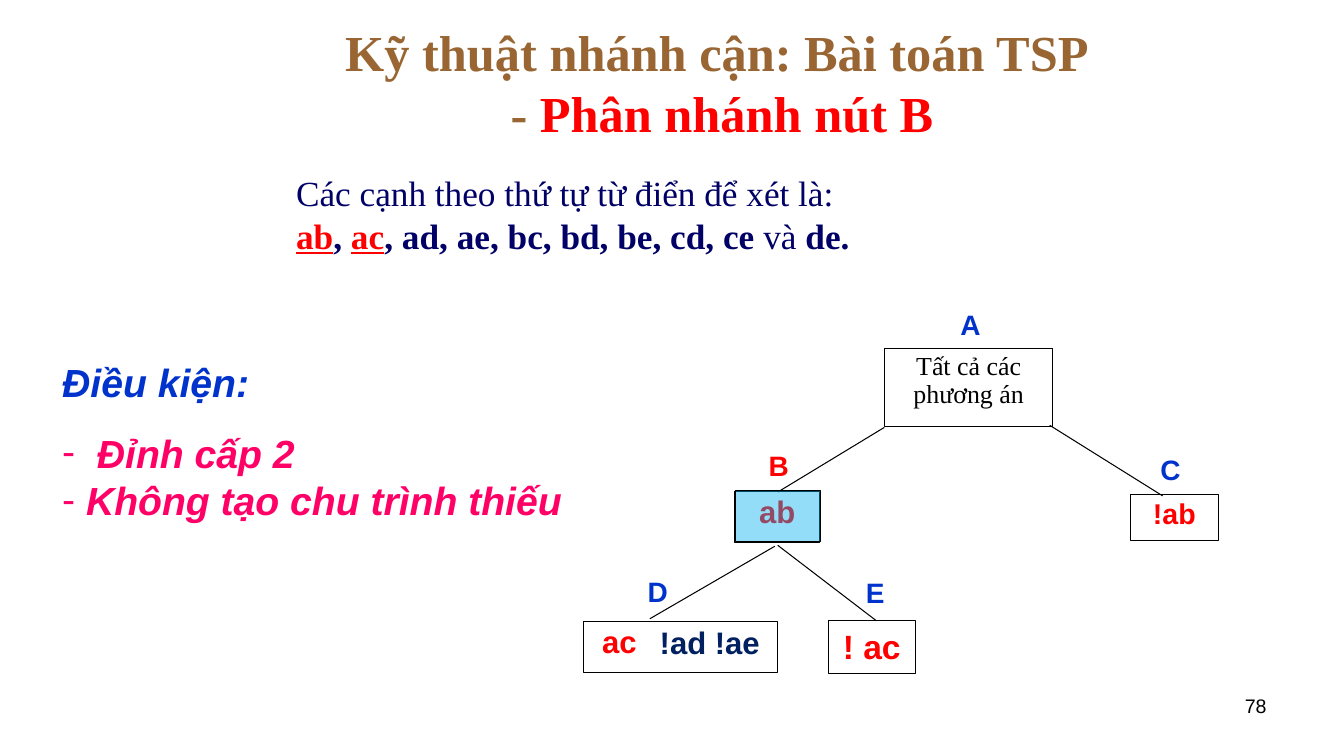
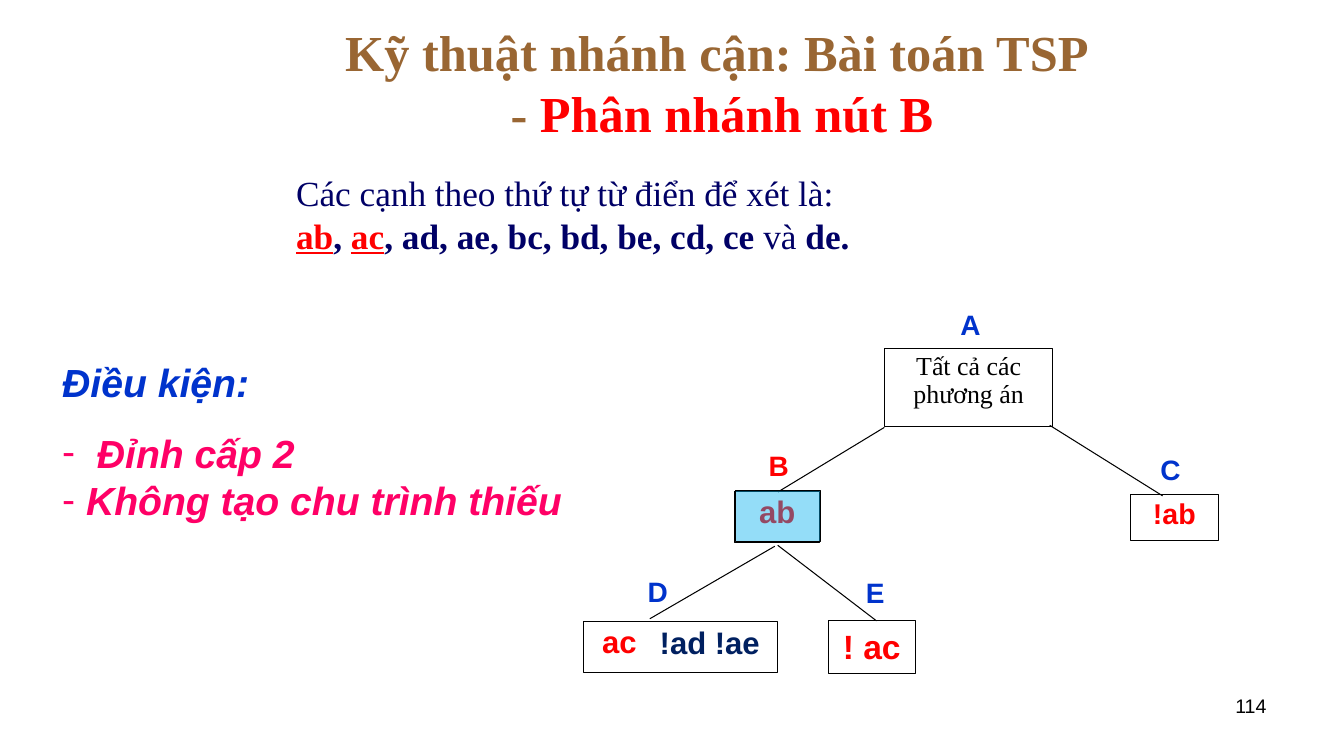
from lxml import etree
from pptx import Presentation
from pptx import util as u
from pptx.dml import color
from pptx.enum import shapes, text
from pptx.oxml import ns

SERIF, SANS = "Times New Roman", "Arial"
BROWN, RED, NAVY, BLUE = "996633", "FF0000", "000066", "0033CC"
DEEP_BLUE, PINK, BLACK, SKY = "002060", "FF0066", "000000", "00B0F0"
LEFT, CENTER, RIGHT = text.PP_ALIGN.LEFT, text.PP_ALIGN.CENTER, text.PP_ALIGN.RIGHT
PADDING = (7.2, 3.6)
LABEL_SIZE = (27, 29)

LABELS = [
    ("A", 680, 219.6, BLUE),
    ("B", 543, 320.4, RED),
    ("C", 823, 323.3, BLUE),
    ("D", 456.5, 410.4, BLUE),
    ("E", 612, 411, BLUE),
]
BRANCHES = [
    (632, 305.3, 556, 351.4),
    (750.2, 303.8, 830.9, 354.2),
    (553.7, 390.2, 464.4, 442),
    (555.8, 389.5, 626.4, 443.5),
]
EDGES = [
    ("ab", {"color": RED, "bold": True, "underline": True}),
    (", ", {"bold": True}),
    ("ac", {"color": RED, "bold": True, "underline": True}),
    (", ad, ae, bc, bd, be, cd, ce ", {"bold": True}),
    ("và", {}),
    (" de.", {"bold": True}),
]


def rgb(value):
    """Turn a hex string into a colour."""
    return color.RGBColor.from_string(value)


def box(left, top, width, height):
    """Turn four lengths in points into position arguments."""
    return [u.Pt(length) for length in (left, top, width, height)]


def set_font(font, name, size, fill, bold=False, italic=False):
    """Set the look of a font."""
    font.name, font.size = name, u.Pt(size)
    font.bold, font.italic = bold, italic
    font.color.rgb = rgb(fill)


def add_runs(paragraph, runs):
    """Add runs, each with its own exceptions to the paragraph font."""
    for content, look in runs:
        run = paragraph.add_run()
        run.text = content
        if "color" in look:
            run.font.color.rgb = rgb(look["color"])
        if "bold" in look:
            run.font.bold = look["bold"]
        if "underline" in look:
            run.font.underline = look["underline"]


def set_bullet(paragraph, margin, mark=None, fill=None):
    """Indent a paragraph and give it a hanging mark or none."""
    properties = paragraph._p.get_or_add_pPr()
    properties.set("marL", str(u.Pt(margin)))
    properties.set("indent", str(u.Pt(-margin if mark else 0)))
    if not mark:
        etree.SubElement(properties, ns.qn("a:buNone"))
        return
    mark_color = etree.SubElement(properties, ns.qn("a:buClr"))
    etree.SubElement(mark_color, ns.qn("a:srgbClr"), val=fill)
    etree.SubElement(properties, ns.qn("a:buFont"), typeface=SANS)
    etree.SubElement(properties, ns.qn("a:buChar"), char=mark)


def prepare_frame(shape, padding=PADDING, anchor=text.MSO_ANCHOR.TOP):
    """Set wrapping, insets and anchor, and return the text frame."""
    frame = shape.text_frame
    frame.word_wrap = True
    frame.auto_size = text.MSO_AUTO_SIZE.NONE
    frame.margin_left = frame.margin_right = u.Pt(padding[0])
    frame.margin_top = frame.margin_bottom = u.Pt(padding[1])
    frame.vertical_anchor = anchor
    return frame


def write_line(shape, content, size, fill, font=SANS, bold=True, align=CENTER,
               spacing=None, padding=PADDING):
    """Write one evenly formatted paragraph into a shape."""
    paragraph = prepare_frame(shape, padding).paragraphs[0]
    paragraph.text = content
    paragraph.alignment = align
    paragraph.line_spacing = spacing
    set_font(paragraph.font, font, size, fill, bold)


def add_text(slide, place, *content, **look):
    """Add a text box with one paragraph."""
    write_line(slide.shapes.add_textbox(*box(*place)), *content, **look)


def add_rectangle(slide, place):
    """Add an unfilled rectangle with a thin black outline."""
    shape = slide.shapes.add_shape(shapes.MSO_SHAPE.RECTANGLE, *box(*place))
    shape.shadow.inherit = False
    shape.fill.background()
    shape.line.color.rgb = rgb(BLACK)
    shape.line.width = u.Pt(0.75)
    return shape


def add_node(slide, place, *content, **look):
    """Add a tree node with its text."""
    write_line(add_rectangle(slide, place), *content, **look)


def add_highlight(slide, place):
    """Add a translucent rectangle over a node."""
    shape = add_rectangle(slide, place)
    shape.fill.solid()
    shape.fill.fore_color.rgb = rgb(SKY)
    tint = shape._element.spPr.find(ns.qn("a:solidFill"))[0]
    etree.SubElement(tint, ns.qn("a:alpha"), val="42000")


def add_branch(slide, ends):
    """Add a thin line between two tree nodes."""
    line = slide.shapes.add_connector(shapes.MSO_CONNECTOR.STRAIGHT, *box(*ends))
    line.line.color.rgb = rgb(BLACK)
    line.line.width = u.Pt(0.75)
    etree.SubElement(line._element.spPr, ns.qn("a:effectLst"))


def place_shape(shape, place):
    """Move and size a placeholder."""
    shape.left, shape.top, shape.width, shape.height = box(*place)


def fill_title(title):
    """Write the two-line title."""
    place_shape(title, (120, 21.6, 792, 74))
    paragraph = prepare_frame(title, anchor=text.MSO_ANCHOR.MIDDLE).paragraphs[0]
    paragraph.alignment = CENTER
    set_font(paragraph.font, SERIF, 36, BROWN, bold=True)
    add_runs(paragraph, [("Kỹ thuật nhánh cận: Bài toán TSP ", {})])
    paragraph.add_line_break()
    add_runs(paragraph, [("- ", {}), ("Phân nhánh nút B", {"color": RED})])


def fill_body(body):
    """Write the ordered list of edges."""
    place_shape(body, (177, 119, 630, 73))
    paragraph = prepare_frame(body).paragraphs[0]
    paragraph.space_before = u.Pt(0)
    set_bullet(paragraph, 27.4)
    set_font(paragraph.font, SERIF, 25.2, NAVY)
    add_runs(paragraph, [("Các cạnh theo thứ tự từ điển để xét là:", {})])
    paragraph.add_line_break()
    add_runs(paragraph, EDGES)


def add_conditions(slide):
    """Add the heading and the two conditions."""
    frame = prepare_frame(slide.shapes.add_textbox(*box(37.4, 252.7, 392.4, 125)))
    heading = frame.paragraphs[0]
    heading.text = "Ðiều kiện:"
    set_font(heading.font, SANS, 28, BLUE, bold=True, italic=True)
    conditions = [("Đỉnh cấp 2", 24.8, 16.5), ("Không tạo chu trình thiếu", 17, 0)]
    for content, margin, gap in conditions:
        paragraph = frame.add_paragraph()
        paragraph.text = content
        paragraph.space_before = u.Pt(gap)
        set_bullet(paragraph, margin, "-", PINK)
        set_font(paragraph.font, SANS, 28, PINK, bold=True, italic=True)


def add_tree(slide):
    """Draw the branching tree with its labels."""
    for name, left, top, fill in LABELS:
        add_text(slide, (left, top, *LABEL_SIZE), name, 20, fill, padding=(0, 0))
    add_node(slide, (632, 249, 120.4, 55.5), "Tất cả các phương án", 18.5, BLACK,
             font=SERIF, bold=False, spacing=0.9)
    add_node(slide, (525, 351.4, 61, 36), "ab", 22.2, RED, spacing=0.9)
    add_node(slide, (808, 353.5, 62.6, 32.6), "!ab", 20.4, RED, spacing=0.9)
    add_node(slide, (417, 444.2, 139, 36), "ac", 22.2, RED, align=LEFT,
             spacing=0.9, padding=(13.4, 3.6))
    add_text(slide, (456.5, 445, 101.5, 36), "!ad !ae", 22.2, DEEP_BLUE, spacing=0.9)
    add_node(slide, (592, 443.5, 62, 37.4), "! ac", 24, RED)
    for ends in BRANCHES:
        add_branch(slide, ends)
    add_highlight(slide, (525.6, 350.6, 61, 36))


def add_branching_slide(presentation, number):
    """Add one slide that branches node B."""
    slide = presentation.slides.add_slide(presentation.slide_layouts[1])
    fill_title(slide.shapes.title)
    fill_body(slide.placeholders[1])
    add_conditions(slide)
    add_tree(slide)
    add_text(slide, (688.3, 491.8, 224, 37.4), str(number), 14, BLACK,
             bold=False, align=RIGHT)


def main():
    """Build and save the presentation."""
    presentation = Presentation()
    presentation.slide_width, presentation.slide_height = u.Pt(960.48), u.Pt(540)
    for number in (78, 114):
        add_branching_slide(presentation, number)
    presentation.save("out.pptx")


if __name__ == "__main__":
    main()
